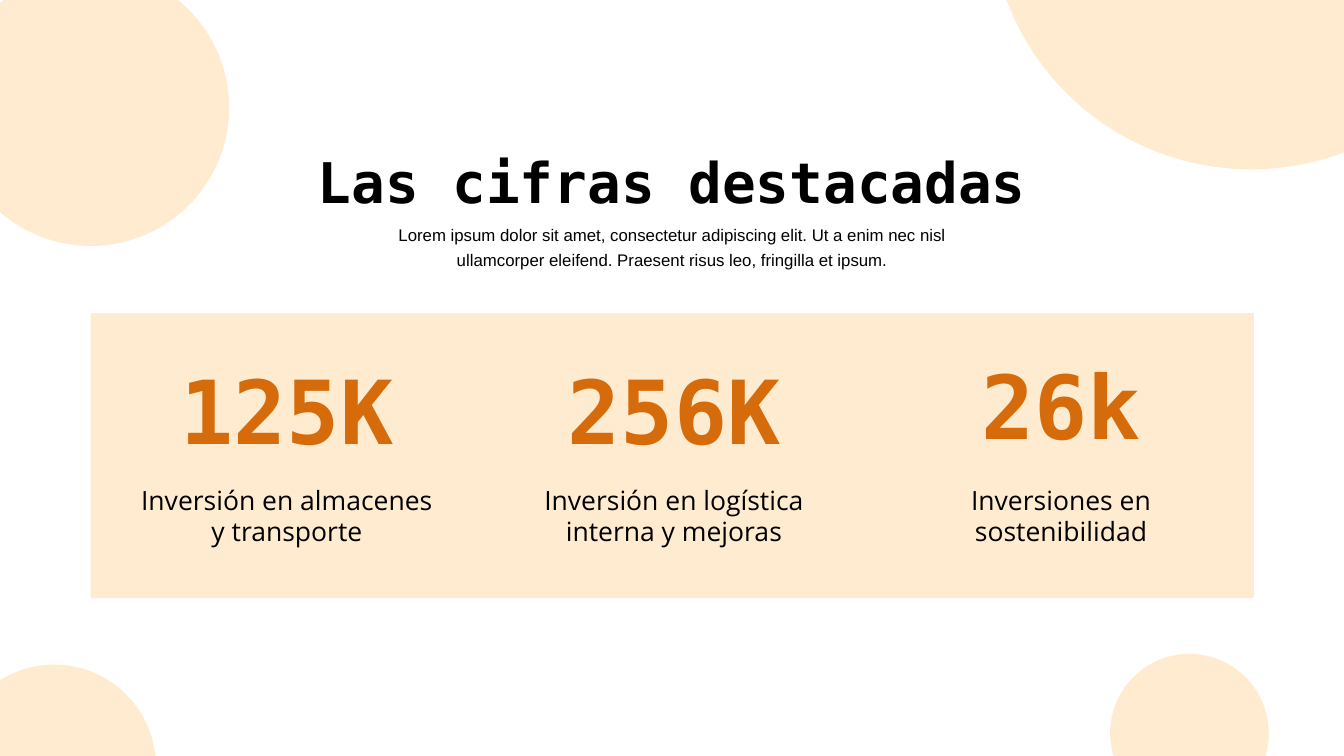
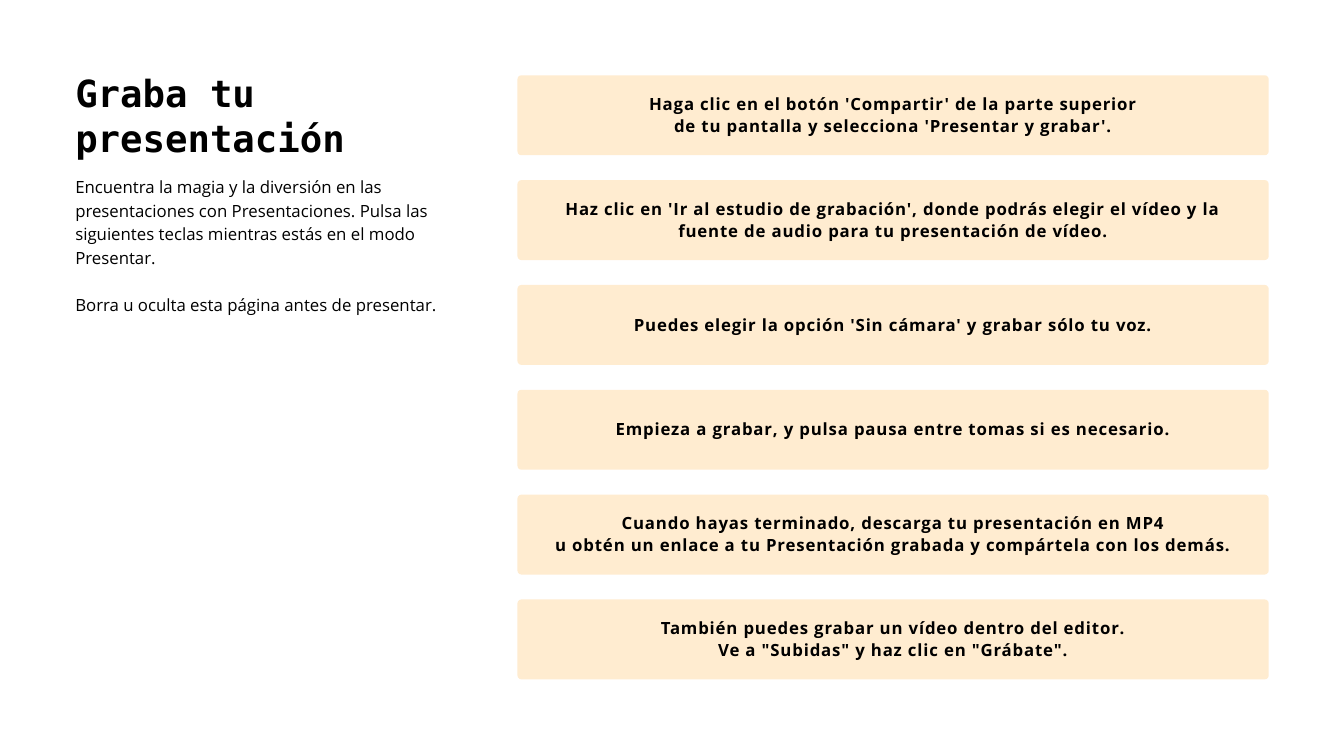
from dataclasses import dataclass

from lxml import etree
from pptx import Presentation
from pptx.dml.color import RGBColor
from pptx.enum.shapes import MSO_SHAPE as Shape
from pptx.enum.text import MSO_ANCHOR as Anchor, MSO_AUTO_SIZE as AutoSize, PP_ALIGN as Align
from pptx.oxml.ns import qn
from pptx.util import Inches, Pt


@dataclass(frozen=True)
class Theme:
    cream: RGBColor = RGBColor(0xFF, 0xEC, 0xD0)
    orange: RGBColor = RGBColor(0xD5, 0x6B, 0x0B)
    black: RGBColor = RGBColor(0, 0, 0)
    heading_font: str = "DejaVu Sans Mono"
    body_font: str = "Open Sans"
    summary_font: str = "Arial"
    title_size: float = 60
    side_title_size: float = 40
    figure_size: float = 94.6
    label_size: float = 28.4
    text_size: float = 18


THEME = Theme()

FIGURES_TITLE = "Las cifras destacadas"
FIGURES_SUMMARY = (
    "Lorem ipsum dolor sit amet, consectetur adipiscing elit. Ut a enim nec nisl "
    "ullamcorper eleifend. Praesent risus leo, fringilla et ipsum."
)
FIGURES = [
    ("125K", "Inversión en almacenes y transporte", 5.21, 120.2),
    ("256K", "Inversión en logística interna y mejoras", 5.21, 120.2),
    ("26k", "Inversiones en sostenibilidad", 5.43, 99.3),
]
CIRCLES = [
    (14.73, -5.25, 7.77),
    (-0.71, -0.46, 4.12),
    (-0.71, 9.89, 3.03),
    (16.52, 9.73, 2.36),
]

RECORD_TITLE = "Graba tu presentación"
RECORD_INTRO = [
    "Encuentra la magia y la diversión en las presentaciones con Presentaciones. "
    "Pulsa las siguientes teclas mientras estás en el modo Presentar.",
    "Borra u oculta esta página antes de presentar.",
]
RECORD_STEPS = [
    [
        "Haga clic en el botón 'Compartir' de la parte superior",
        "de tu pantalla y selecciona 'Presentar y grabar'.",
    ],
    [
        "Haz clic en 'Ir al estudio de grabación', donde podrás elegir el vídeo y la "
        "fuente de audio para tu presentación de vídeo."
    ],
    ["Puedes elegir la opción 'Sin cámara' y grabar sólo tu voz."],
    ["Empieza a grabar, y pulsa pausa entre tomas si es necesario."],
    [
        "Cuando hayas terminado, descarga tu presentación en MP4",
        "u obtén un enlace a tu Presentación grabada y compártela con los demás.",
    ],
    [
        "También puedes grabar un vídeo dentro del editor.",
        'Ve a "Subidas" y haz clic en "Grábate".',
    ],
]

COLUMN_CENTER, COLUMN_PITCH = 4.27, 5.76
FIGURE_WIDTH, LABEL_WIDTH = 5.1, 4.58
CARD_LEFT, CARD_TOP, CARD_WIDTH, CARD_HEIGHT = 7.7, 1.12, 11.18, 1.19
CARD_PITCH = 1.56


def write(box, lines, *, size, leading, font=THEME.body_font, color=THEME.black,
          bold=False, align=Align.LEFT, anchor=Anchor.TOP, insets=(0, 0, 0, 0),
          gap=0, tracking=0):
    frame = box.text_frame
    frame.word_wrap = True
    frame.auto_size = AutoSize.NONE
    frame.vertical_anchor = anchor
    (frame.margin_left, frame.margin_top,
     frame.margin_right, frame.margin_bottom) = map(Inches, insets)
    for index, line in enumerate(lines):
        para = frame.add_paragraph() if index else frame.paragraphs[0]
        properties = para._p.get_or_add_pPr()
        properties.set("marL", "0")
        properties.set("indent", "0")
        etree.SubElement(properties, qn("a:buNone"))
        para.alignment = align
        para.line_spacing = Pt(leading)
        para.space_before = Pt(gap if index else 0)
        span = para.add_run()
        span.text = line
        span.font.name = font
        span.font.size = Pt(size)
        span.font.bold = bold
        span.font.color.rgb = color
        if tracking:
            span._r.get_or_add_rPr().set("spc", str(round(tracking * 100)))


def place(box, left, top, width, height):
    box.left, box.top, box.width, box.height = map(Inches, (left, top, width, height))
    return box


def add_text(page, area, text, **style):
    write(page.shapes.add_textbox(*map(Inches, area)), [text], **style)


def add_cream(page, kind, left, top, width, height):
    box = page.shapes.add_shape(kind, *map(Inches, (left, top, width, height)))
    box.shadow.inherit = False
    box.fill.solid()
    box.fill.fore_color.rgb = THEME.cream
    box.line.fill.background()
    return box


def start_page(deck, title, title_area, title_style, body, body_area, body_style):
    page = deck.slides.add_slide(deck.slide_layouts[1])
    write(place(page.shapes.title, *title_area), [title],
          font=THEME.heading_font, bold=True, **title_style)
    write(place(page.placeholders[1], *body_area), body,
          size=THEME.text_size, **body_style)
    return page


def build_figures(deck):
    page = start_page(
        deck,
        FIGURES_TITLE, (4.71, 2.44, 10.57, 0.92),
        dict(size=THEME.title_size, leading=54, align=Align.CENTER),
        [FIGURES_SUMMARY], (5.27, 3.26, 9.46, 0.73),
        dict(font=THEME.summary_font, leading=27.2, align=Align.CENTER),
    )
    add_cream(page, Shape.RECTANGLE, 1.35, 4.66, 17.31, 4.24)
    for column, (figure, label, top, leading) in enumerate(FIGURES):
        center = COLUMN_CENTER + column * COLUMN_PITCH
        add_text(page, (center - FIGURE_WIDTH / 2, top, FIGURE_WIDTH, 7.01 - top), figure,
                 size=THEME.figure_size, leading=leading, font=THEME.heading_font,
                 color=THEME.orange, bold=True, align=Align.CENTER)
        add_text(page, (center - LABEL_WIDTH / 2, 7.23, LABEL_WIDTH, 0.89), label,
                 size=THEME.label_size, leading=32.6, align=Align.CENTER)
    for left, top, diameter in CIRCLES:
        add_cream(page, Shape.OVAL, left, top, diameter, diameter)


def build_recording(deck):
    page = start_page(
        deck,
        RECORD_TITLE, (1.12, 1.04, 6.01, 1.41),
        dict(size=THEME.side_title_size, leading=48.4),
        RECORD_INTRO, (1.12, 2.58, 5.73, 2.04),
        dict(leading=25.2, gap=25.2),
    )
    for row, lines in enumerate(RECORD_STEPS):
        card = add_cream(page, Shape.ROUNDED_RECTANGLE, CARD_LEFT,
                         CARD_TOP + row * CARD_PITCH, CARD_WIDTH, CARD_HEIGHT)
        card.adjustments[0] = 0.05
        write(card, lines, size=THEME.text_size, leading=23.4, bold=True,
              align=Align.CENTER, anchor=Anchor.MIDDLE,
              insets=(0.24, 0.2, 0.24, 0.24), tracking=0.9)


def main():
    deck = Presentation()
    deck.slide_width, deck.slide_height = Inches(20), Inches(11.25)
    build_figures(deck)
    build_recording(deck)
    deck.save("out.pptx")


if __name__ == "__main__":
    main()
